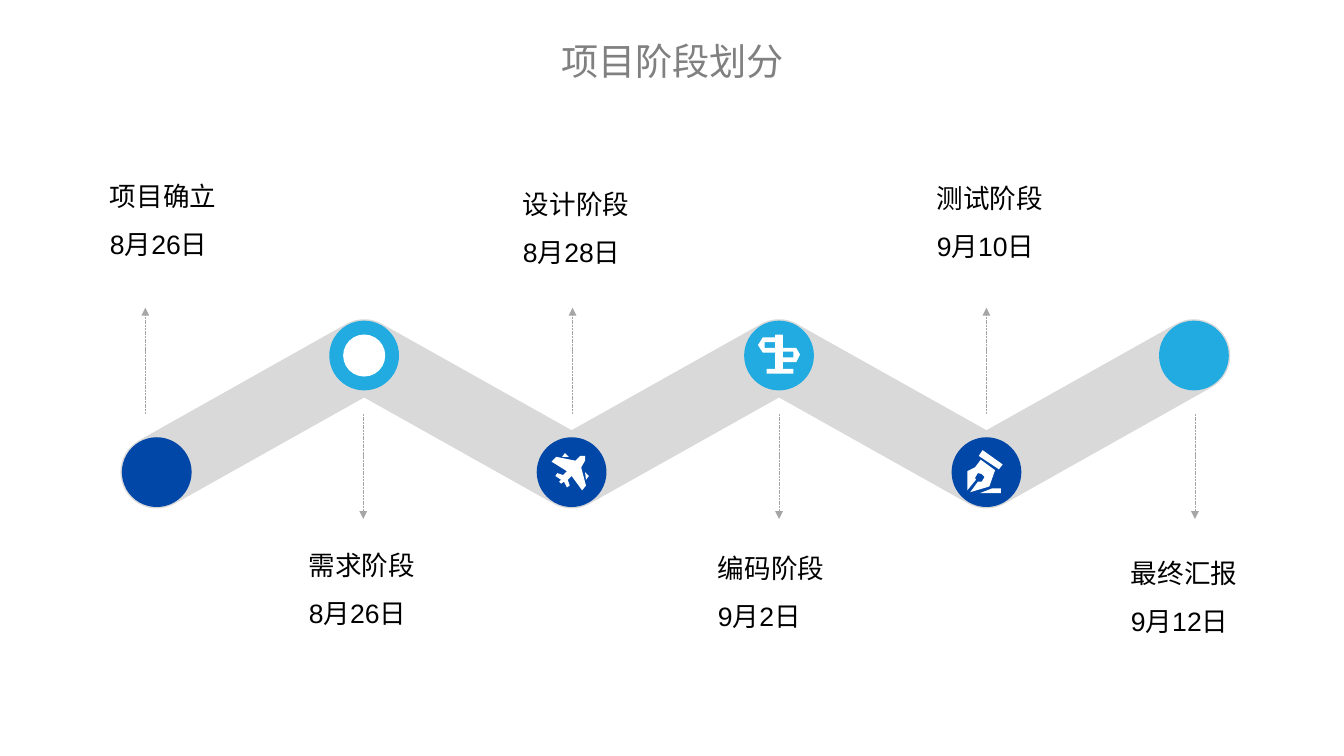
"""Build a slide with six project stages along a zigzag ribbon."""
import math

from lxml import etree
from pptx import Presentation
from pptx.dml.color import RGBColor
from pptx.enum import dml, shapes, text
from pptx.oxml import ns
from pptx.util import Inches, Pt

NAVY = RGBColor(0x01, 0x47, 0xA7)
SKY = RGBColor(0x21, 0xAB, 0xE1)
RIBBON = RGBColor(0xD9, 0xD9, 0xD9)
ARROW = RGBColor(0xA6, 0xA6, 0xA6)
GREY = RGBColor(0x80, 0x80, 0x80)
BLACK = RGBColor(0, 0, 0)
WHITE = RGBColor(0xFF, 0xFF, 0xFF)

TITLE = "项目阶段划分"
# stage, date, label left, label top, arrow x
STAGES = [
    ("项目确立", "8月26日", 1.15, 1.72, 1.52),
    ("需求阶段", "8月26日", 3.23, 5.58, 3.80),
    ("设计阶段", "8月28日", 5.47, 1.80, 5.99),
    ("编码阶段", "9月2日", 7.51, 5.61, 8.15),
    ("测试阶段", "9月10日", 9.80, 1.74, 10.32),
    ("最终汇报", "9月12日", 11.83, 5.66, 12.50),
]
FIRST_X, STEP = 1.64, 2.17
LOW_Y, HIGH_Y = 4.94, 3.72
RADIUS, DISC, DOT = 0.38, 0.73, 0.44
SLOPE = 30
DOT_STAGE = 1

SIGNPOST = [
    [(8.11, 3.50), (8.19, 3.50), (8.19, 3.64), (8.33, 3.64), (8.37, 3.71),
     (8.33, 3.79), (8.19, 3.79), (8.19, 3.86), (8.30, 3.86), (8.30, 3.91),
     (8.02, 3.91), (8.02, 3.86), (8.11, 3.86), (8.11, 3.69), (7.98, 3.69),
     (7.93, 3.61), (7.98, 3.53), (8.11, 3.53)],
    [(8.11, 3.58), (8.00, 3.58), (8.00, 3.64), (8.11, 3.64)],
    [(8.30, 3.68), (8.19, 3.68), (8.19, 3.74), (8.30, 3.74)],
]
PLANE = [
    [(6.12, 4.77), (6.12, 4.82), (6.08, 4.89), (6.13, 5.08), (6.09, 5.13),
     (5.98, 4.98), (5.94, 5.02), (5.96, 5.08), (5.93, 5.10), (5.90, 5.04),
     (5.87, 5.06), (5.85, 5.04), (5.87, 5.02), (5.81, 4.98), (5.83, 4.95),
     (5.89, 4.97), (5.93, 4.93), (5.77, 4.83), (5.82, 4.78), (6.02, 4.82),
     (6.07, 4.77)],
    [(6.16, 4.98), (6.12, 4.94), (6.13, 5.02)],
    [(5.91, 4.74), (5.88, 4.78), (5.95, 4.78)],
]
PEN = [
    [(10.12, 5.13), (10.12, 4.93), (10.20, 4.89), (10.26, 4.81),
     (10.41, 4.92), (10.35, 5.09), (10.15, 5.15), (10.23, 5.04),
     (10.27, 5.04), (10.30, 4.99), (10.27, 4.96), (10.23, 4.95),
     (10.20, 5.00), (10.21, 5.02)],
    [(10.25, 5.16), (10.47, 5.16), (10.47, 5.11), (10.38, 5.11)],
    [(10.45, 4.91), (10.49, 4.86), (10.28, 4.71), (10.24, 4.77)],
]


def arc(centre, radius, start, stop):
    angles = [math.radians(a) for a in range(start, stop + 1, 5)]
    return [(centre[0] + radius * math.cos(a), centre[1] + radius * math.sin(a))
            for a in angles]


def ribbon_outline(nodes):
    inset = RADIUS / math.cos(math.radians(SLOPE))
    top, bottom = [], []
    for i, (x, y) in enumerate(nodes[1:-1], 1):
        if i % 2:
            top += arc((x, y), RADIUS, 270 - SLOPE, 270 + SLOPE)
            bottom.insert(0, (x, y + inset))
        else:
            top.append((x, y - inset))
            bottom = arc((x, y), RADIUS, 90 - SLOPE, 90 + SLOPE) + bottom
    left_cap = arc(nodes[0], RADIUS, 90 - SLOPE, 270 - SLOPE)
    right_cap = arc(nodes[-1], RADIUS, 270 - SLOPE, 450 - SLOPE)
    return left_cap + top + right_cap + bottom


def paint(shape, colour):
    shape.shadow.inherit = False
    shape.fill.solid()
    shape.fill.fore_color.rgb = colour
    shape.line.fill.background()


def add_outline(page, contours, colour):
    builder = None
    for contour in contours:
        points = [(Inches(x), Inches(y)) for x, y in contour]
        if builder is None:
            builder = page.shapes.build_freeform(*points[0])
        else:
            builder.move_to(*points[0])
        builder.add_line_segments(points[1:], close=True)
    paint(builder.convert_to_shape(), colour)


def add_disc(page, centre, size, colour):
    x, y = centre
    disc = page.shapes.add_shape(
        shapes.MSO_SHAPE.OVAL, Inches(x - size / 2), Inches(y - size / 2),
        Inches(size), Inches(size))
    paint(disc, colour)


def add_arrow(page, x, start, end):
    arrow = page.shapes.add_connector(
        shapes.MSO_CONNECTOR.STRAIGHT, Inches(x), Inches(start), Inches(x), Inches(end))
    arrow.line.color.rgb = ARROW
    arrow.line.width = Pt(0.5)
    arrow.line.dash_style = dml.MSO_LINE.SQUARE_DOT
    outline = arrow.line._get_or_add_ln()
    etree.SubElement(outline, ns.qn("a:tailEnd"), type="triangle")
    etree.SubElement(outline.getparent(), ns.qn("a:effectLst"))


def write(box, lines, size, colour, align, anchor, spacing):
    frame = box.text_frame
    frame.text = "\n".join(lines)
    frame.word_wrap = True
    frame.auto_size = text.MSO_AUTO_SIZE.SHAPE_TO_FIT_TEXT
    frame.vertical_anchor = anchor
    frame.margin_left = frame.margin_right = frame.margin_top = frame.margin_bottom = 0
    for para in frame.paragraphs:
        para.alignment = align
        para.line_spacing = spacing
        para.font.name = "Arial"
        para.font.size = Pt(size)
        para.font.color.rgb = colour


def main():
    deck = Presentation()
    deck.slide_width, deck.slide_height = Inches(14.06), Inches(7.91)
    page = deck.slides.add_slide(deck.slide_layouts[5])

    title = page.shapes.title
    title.left, title.top = Inches(5.77), Inches(0.39)
    title.width, title.height = Inches(2.53), Inches(0.49)
    write(title, [TITLE], 28, GREY, text.PP_ALIGN.CENTER, text.MSO_ANCHOR.MIDDLE, 1.0)

    nodes = [(FIRST_X + STEP * i, HIGH_Y if i % 2 else LOW_Y)
             for i in range(len(STAGES))]
    add_outline(page, [ribbon_outline(nodes)], RIBBON)

    for i, (node, stage) in enumerate(zip(nodes, STAGES)):
        name, date, left, top, arrow_x = stage
        add_disc(page, node, DISC, SKY if i % 2 else NAVY)
        add_arrow(page, arrow_x, 4.33, 5.43 if i % 2 else 3.22)
        label = page.shapes.add_textbox(
            Inches(left), Inches(top), Inches(1.58), Inches(0.95))
        write(label, [name, date], 20, BLACK, text.PP_ALIGN.LEFT, text.MSO_ANCHOR.TOP, 1.5)

    add_disc(page, nodes[DOT_STAGE], DOT, WHITE)
    for icon in (SIGNPOST, PLANE, PEN):
        add_outline(page, icon, WHITE)

    deck.save("out.pptx")


if __name__ == "__main__":
    main()
